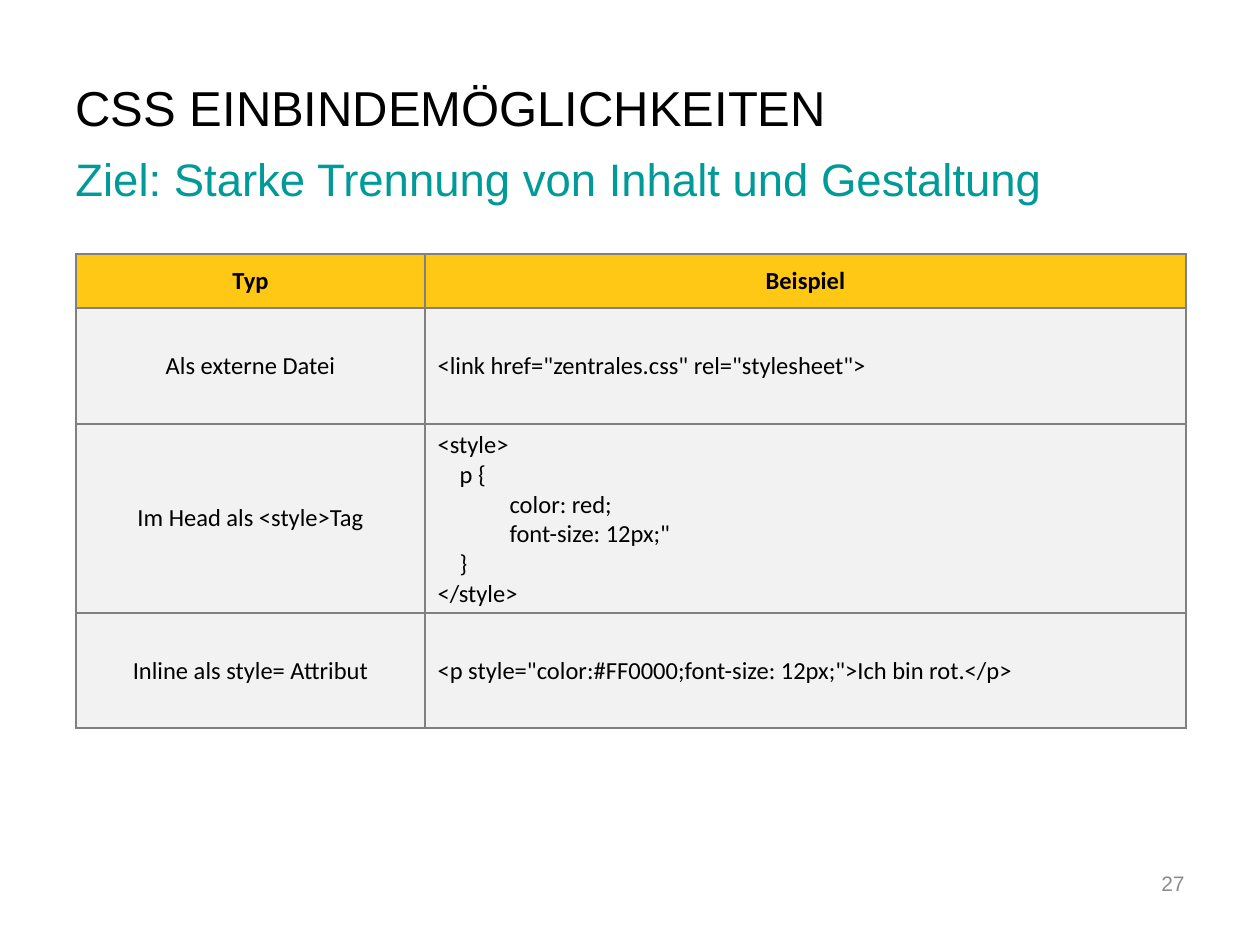
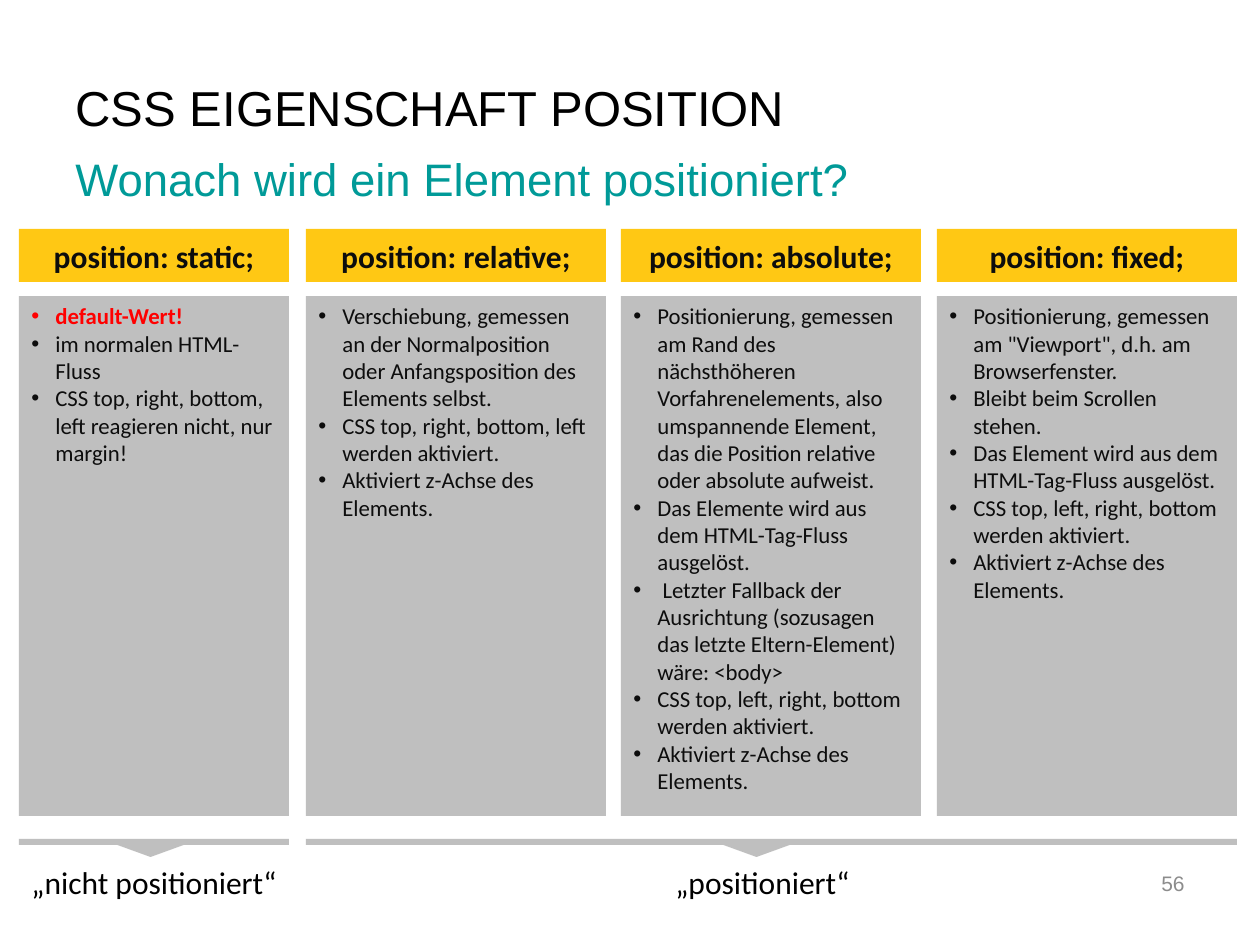
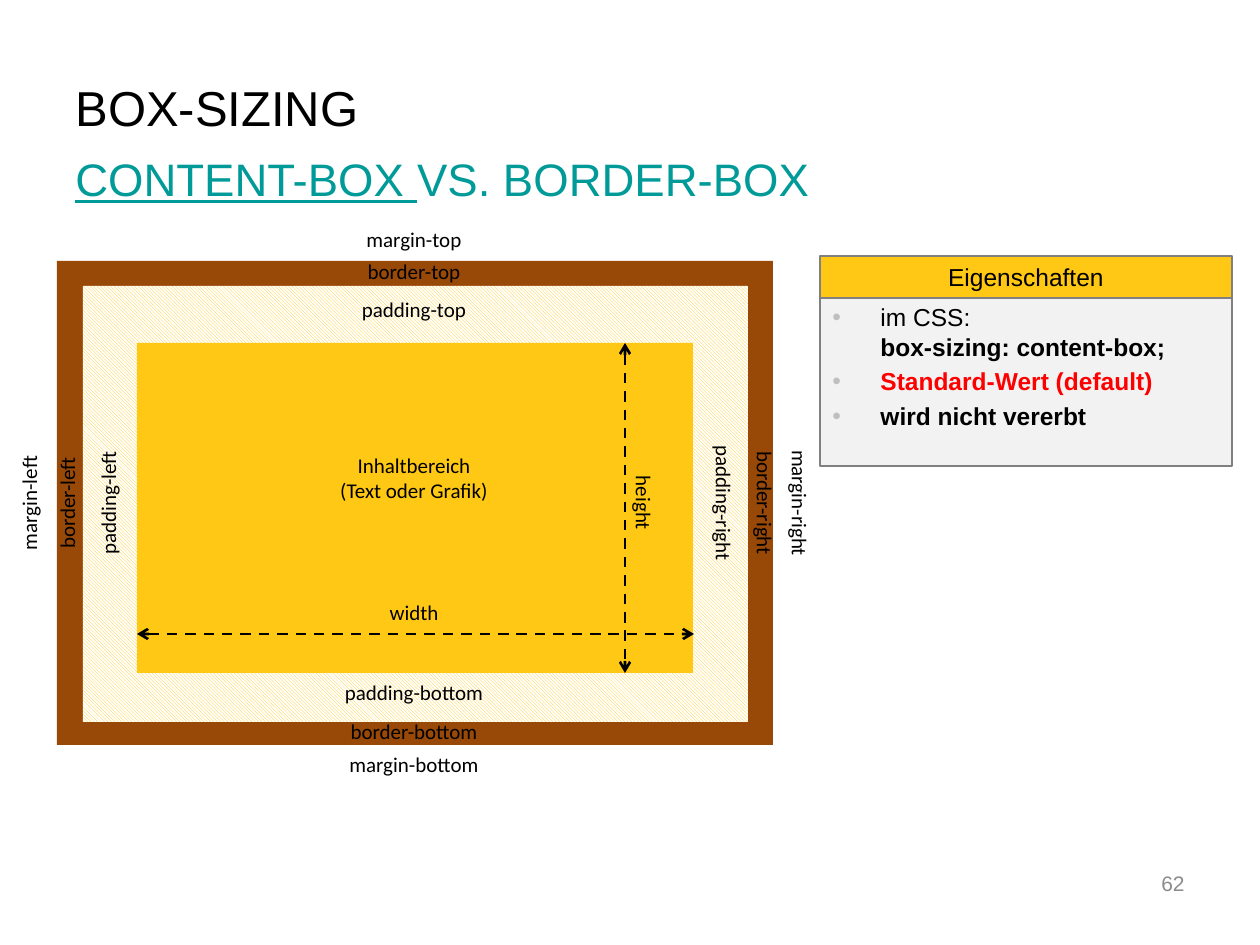
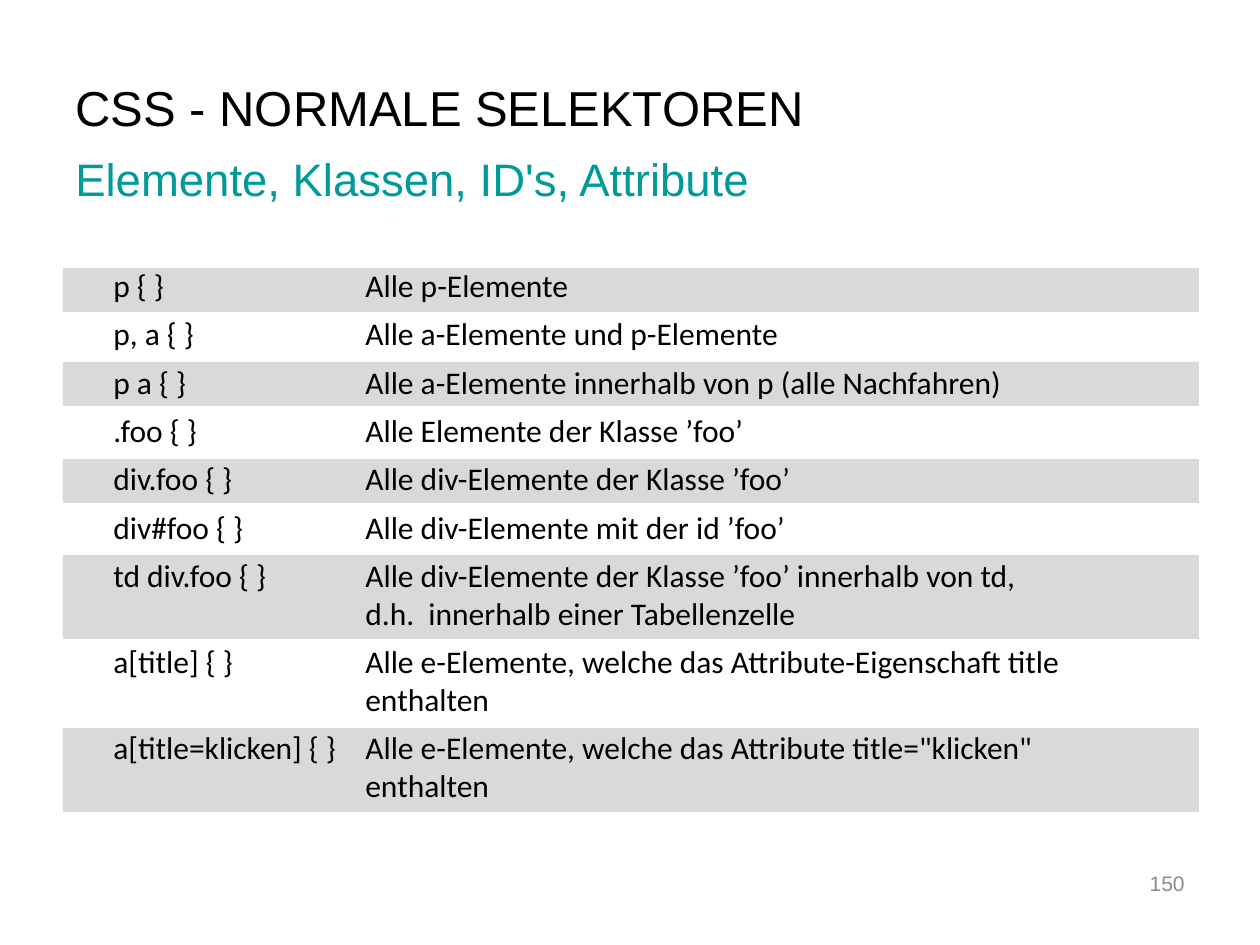
from lxml.etree import SubElement
from pptx import Presentation
from pptx.dml.color import RGBColor
from pptx.enum.dml import MSO_LINE, MSO_PATTERN
from pptx.enum.shapes import MSO_CONNECTOR, MSO_SHAPE
from pptx.enum.text import MSO_ANCHOR, PP_ALIGN
from pptx.oxml.ns import qn
from pptx.util import Emu, Pt

PX_PER_INCH = 126
HEAD_FONT, BODY_FONT = "Arial", "Calibri"
BLACK = RGBColor(0x00, 0x00, 0x00)
WHITE = RGBColor(0xFF, 0xFF, 0xFF)
INK = RGBColor(0x0D, 0x0D, 0x0D)
TEAL = RGBColor(0x00, 0x9A, 0x98)
YELLOW = RGBColor(0xFF, 0xC8, 0x14)
RED = RGBColor(0xFF, 0x00, 0x00)
BROWN = RGBColor(0x98, 0x48, 0x07)
GRAY = RGBColor(0x80, 0x80, 0x80)
NUMBER_GRAY = RGBColor(0x8C, 0x8C, 0x8C)
SILVER = RGBColor(0xBF, 0xBF, 0xBF)
BAND = RGBColor(0xD9, 0xD9, 0xD9)
PALE = RGBColor(0xF2, 0xF2, 0xF2)


def px(value):
    return Emu(round(value * 914400 / PX_PER_INCH))


def write(tf, text, size=18, font=BODY_FONT, color=BLACK, bold=False, underline=False,
          align=PP_ALIGN.LEFT, before=0, after=0, hang=0, bullet_color=None, tab=0, join=False):
    if join or not tf.text:
        p = tf.paragraphs[-1]
    else:
        p = tf.add_paragraph()
        p.space_before = Pt(before)
    if not join:
        p.alignment = align
        p.space_after = Pt(after)
        pPr = p._p.get_or_add_pPr()
        if hang:
            pPr.set("marL", str(px(hang)))
            pPr.set("indent", str(-px(hang)))
            if bullet_color is not None:
                SubElement(SubElement(pPr, qn("a:buClr")), qn("a:srgbClr"), val=str(bullet_color))
            SubElement(pPr, qn("a:buFont"), typeface=HEAD_FONT)
            SubElement(pPr, qn("a:buChar"), char="•")
        if tab:
            SubElement(SubElement(pPr, qn("a:tabLst")), qn("a:tab"), pos=str(px(tab)), algn="l")
    for i, line in enumerate(text.split("\n")):
        if i:
            p.add_line_break()
        r = p.add_run()
        r.text = line
        r.font.name, r.font.size, r.font.bold = font, Pt(size), bold
        r.font.underline = underline
        r.font.color.rgb = color


def textbox(s, x, y, w, h, anchor=MSO_ANCHOR.TOP):
    box = s.shapes.add_textbox(px(x), px(y), px(w), px(h))
    tf = box.text_frame
    tf.word_wrap = True
    tf.vertical_anchor = anchor
    return box


def block(s, x, y, w, h, fill, line=None, kind=MSO_SHAPE.RECTANGLE, anchor=MSO_ANCHOR.TOP):
    sp = s.shapes.add_shape(kind, px(x), px(y), px(w), px(h))
    sp.shadow.inherit = False
    sp.fill.solid()
    sp.fill.fore_color.rgb = fill
    if line is None:
        sp.line.fill.background()
    else:
        sp.line.color.rgb = line
        sp.line.width = Pt(0.75)
    sp.text_frame.word_wrap = True
    sp.text_frame.vertical_anchor = anchor
    return sp


def label(s, text, cx, cy, w=151, rotation=0):
    box = textbox(s, cx - w / 2, cy - 19, w, 38)
    box.rotation = rotation
    write(box.text_frame, text, size=12, align=PP_ALIGN.CENTER)


def double_arrow(s, x1, y1, x2, y2):
    line = s.shapes.add_connector(MSO_CONNECTOR.STRAIGHT, px(x1), px(y1), px(x2), px(y2))
    line.line.color.rgb = BLACK
    line.line.width = Pt(1.5)
    line.line.dash_style = MSO_LINE.DASH
    ln = line.line._get_or_add_ln()
    for end in ("a:headEnd", "a:tailEnd"):
        SubElement(ln, qn(end), type="arrow")
    SubElement(line._element.spPr, qn("a:effectLst"))


def start_slide(prs, title, subtitle, number, underlined=""):
    s = prs.slides.add_slide(prs.slide_layouts[5])
    heading = s.shapes.title
    heading.left, heading.top, heading.width, heading.height = px(63), px(71), px(974), px(72)
    heading.text_frame.vertical_anchor = MSO_ANCHOR.MIDDLE
    write(heading.text_frame, title, size=28, font=HEAD_FONT)
    tf = textbox(s, 63, 145, 1134, 68).text_frame
    if underlined:
        write(tf, underlined, size=26, font=HEAD_FONT, color=TEAL, underline=True)
    write(tf, subtitle, size=26, font=HEAD_FONT, color=TEAL, join=bool(underlined))
    tf = textbox(s, 1113, 858, 84, 50, MSO_ANCHOR.MIDDLE).text_frame
    write(tf, str(number), size=12, font=HEAD_FONT, color=NUMBER_GRAY, align=PP_ALIGN.RIGHT)
    return s


def style_cell(cell, fill):
    cell.fill.solid()
    cell.fill.fore_color.rgb = fill
    cell.vertical_anchor = MSO_ANCHOR.MIDDLE
    tcPr = cell._tc.get_or_add_tcPr()
    for i, side in enumerate(("a:lnL", "a:lnR", "a:lnT", "a:lnB")):
        ln = tcPr.makeelement(qn(side), {"w": str(Pt(1))})
        SubElement(SubElement(ln, qn("a:solidFill")), qn("a:srgbClr"), val=str(GRAY))
        tcPr.insert(i, ln)


def embedding_slide(prs):
    s = start_slide(prs, "CSS EINBINDEMÖGLICHKEITEN",
                    "Ziel: Starke Trennung von Inhalt und Gestaltung", 27)
    rows = [
        ("Typ", ["Beispiel"]),
        ("Als externe Datei", ['<link href="zentrales.css" rel="stylesheet">']),
        ("Im Head als <style>Tag", [
            "<style>",
            "    p {",
            '             color: red;\n             font-size: 12px;"\n    }',
            "</style>"]),
        ("Inline als style= Attribut",
         ['<p style="color:#FF0000;font-size: 12px;">Ich bin rot.</p>']),
    ]
    heights, widths = (54, 116, 145, 115), (349, 761)
    table = s.shapes.add_table(len(rows), 2, px(76), px(254), px(sum(widths)),
                               px(sum(heights))).table
    table.first_row = table.horz_banding = False
    for column, width in zip(table.columns, widths):
        column.width = px(width)
    for i, (kind, example) in enumerate(rows):
        table.rows[i].height = px(heights[i])
        header = i == 0
        for j, lines in enumerate(([kind], example)):
            cell = table.cell(i, j)
            style_cell(cell, YELLOW if header else PALE)
            align = PP_ALIGN.CENTER if header or j == 0 else PP_ALIGN.LEFT
            for line in lines:
                write(cell.text_frame, line, size=14, bold=header, align=align)


def position_slide(prs):
    s = start_slide(prs, "CSS EIGENSCHAFT POSITION", "Wonach wird ein Element positioniert?", 56)
    default = "default-Wert!"
    z_axis = "Aktiviert z-Achse des Elements."
    activated = "CSS top, left, right, bottom werden aktiviert."
    columns = [
        (19, 270, "static", [
            default, "im normalen HTML-Fluss",
            "CSS top, right, bottom, left reagieren nicht, nur margin!"]),
        (306, 300, "relative", [
            "Verschiebung, gemessen an der Normalposition oder Anfangsposition des Elements selbst.",
            "CSS top, right, bottom, left werden aktiviert.", z_axis]),
        (621, 300, "absolute", [
            "Positionierung, gemessen am Rand des nächsthöheren Vorfahrenelements, also "
            "umspannende Element, das die Position relative oder absolute aufweist.",
            "Das Elemente wird aus dem HTML-Tag-Fluss ausgelöst.",
            " Letzter Fallback der Ausrichtung (sozusagen das letzte Eltern-Element) wäre: <body>",
            activated, z_axis]),
        (937, 300, "fixed", [
            'Positionierung, gemessen am "Viewport", d.h. am Browserfenster.',
            "Bleibt beim Scrollen stehen.",
            "Das Element wird aus dem HTML-Tag-Fluss ausgelöst.",
            activated, z_axis]),
    ]
    for x, w, value, points in columns:
        tf = block(s, x, 296, w, 520, SILVER).text_frame
        for point in points:
            is_default = point == default
            write(tf, point, size=13, color=RED if is_default else INK, bold=is_default, hang=24)
        tf = block(s, x, 229, w, 53, YELLOW, anchor=MSO_ANCHOR.MIDDLE).text_frame
        write(tf, f"position: {value};", color=INK, bold=True, align=PP_ALIGN.CENTER)
    for bar_x, bar_w, tip_x, text_x, text_w, text in (
            (19, 270, 112, 19, 281, "„nicht positioniert“"),
            (306, 931, 718, 663, 215, "„positioniert“")):
        write(textbox(s, text_x, 857, text_w, 50).text_frame, text)
        block(s, bar_x, 839, bar_w, 6, SILVER)
        block(s, tip_x, 843, 77, 14, SILVER, kind=MSO_SHAPE.ISOSCELES_TRIANGLE).rotation = 180


def box_sizing_slide(prs):
    s = start_slide(prs, "BOX-SIZING", "VS. BORDER-BOX", 62, underlined="CONTENT-BOX ")
    block(s, 57, 261, 716, 484, BROWN)
    padding = block(s, 83, 286, 665, 436, WHITE)
    padding.fill.patterned()
    padding.fill.pattern = MSO_PATTERN.DARK_DOWNWARD_DIAGONAL
    padding.fill.fore_color.rgb = YELLOW
    padding.fill.back_color.rgb = WHITE
    block(s, 137, 343, 556, 330, YELLOW)
    double_arrow(s, 137, 634, 694, 634)
    double_arrow(s, 625, 343, 625, 673)

    center_x, center_y = 414, 503
    for text, cy in (("margin-top", 239), ("border-top", 271), ("padding-top", 309)):
        label(s, text, center_x, cy)
    for text, cy in (("width", 612), ("padding-bottom", 692), ("border-bottom", 731),
                     ("margin-bottom", 764)):
        label(s, text, center_x, cy, w=198)
    for text, cx in (("margin-left", 29), ("border-left", 67), ("padding-left", 108)):
        label(s, text, cx, center_y, rotation=270)
    for text, cx, w in (("height", 644, 151), ("padding-right", 724, 180),
                        ("border-right", 765, 151), ("margin-right", 800, 151)):
        label(s, text, cx, center_y, w, rotation=90)
    tf = textbox(s, 295, 446, 238, 63).text_frame
    for line in ("Inhaltbereich", "(Text oder Grafik)"):
        write(tf, line, size=12, align=PP_ALIGN.CENTER)

    tf = block(s, 820, 296, 412, 170, PALE, line=GRAY).text_frame
    item = dict(size=14, font=HEAD_FONT, before=3, hang=48, bullet_color=SILVER)
    write(tf, "im CSS: \n", **item)
    write(tf, "box-sizing: content-box;", size=14, font=HEAD_FONT, bold=True, join=True)
    write(tf, "Standard-Wert (default)", color=RED, bold=True, **item)
    write(tf, "wird nicht vererbt", bold=True, **item)
    tf = block(s, 820, 256, 412, 42, YELLOW, line=GRAY, anchor=MSO_ANCHOR.MIDDLE).text_frame
    write(tf, "Eigenschaften", size=14, font=HEAD_FONT, align=PP_ALIGN.CENTER)


def selector_slide(prs):
    s = start_slide(prs, "CSS - NORMALE SELEKTOREN", "Elemente, Klassen, ID's, Attribute", 150)
    for y, h in ((268, 44), (362, 44), (459, 44), (555, 84), (728, 84)):
        block(s, 63, y, 1136, h, BAND)
    selectors = [
        ("p { }", "Alle p-Elemente"),
        ("p, a { }", "Alle a-Elemente und p-Elemente"),
        ("p a { }", "Alle a-Elemente innerhalb von p (alle Nachfahren)"),
        (".foo { }", "Alle Elemente der Klasse ’foo’"),
        ("div.foo { }", "Alle div-Elemente der Klasse ’foo’"),
        ("div#foo { }", "Alle div-Elemente mit der id ’foo’"),
        ("td div.foo { }", "Alle div-Elemente der Klasse ’foo’ innerhalb von td,\n"
                           "\td.h.  innerhalb einer Tabellenzelle"),
        ("a[title] { }", "Alle e-Elemente, welche das Attribute-Eigenschaft title\n\tenthalten"),
        ("a[title=klicken] { }",
         'Alle e-Elemente, welche das Attribute title="klicken"\n\tenthalten'),
    ]
    tf = textbox(s, 101, 260, 1111, 680).text_frame
    for selector, meaning in selectors:
        write(tf, f"{selector}\t{meaning}", after=6, tab=252)


def main():
    prs = Presentation()
    prs.slide_width, prs.slide_height = px(1260), px(945)
    embedding_slide(prs)
    position_slide(prs)
    box_sizing_slide(prs)
    selector_slide(prs)
    prs.save("out.pptx")


if __name__ == "__main__":
    main()
